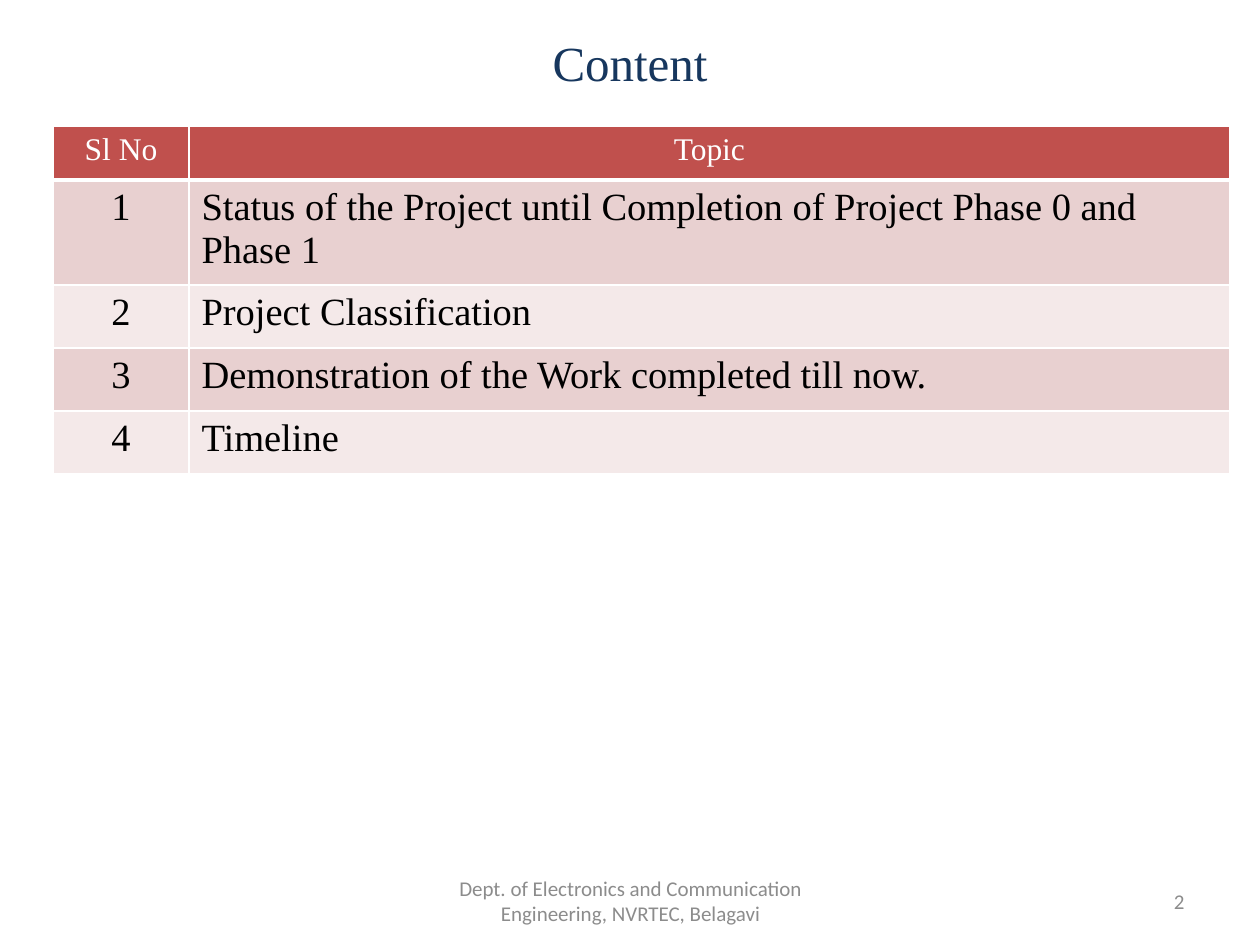
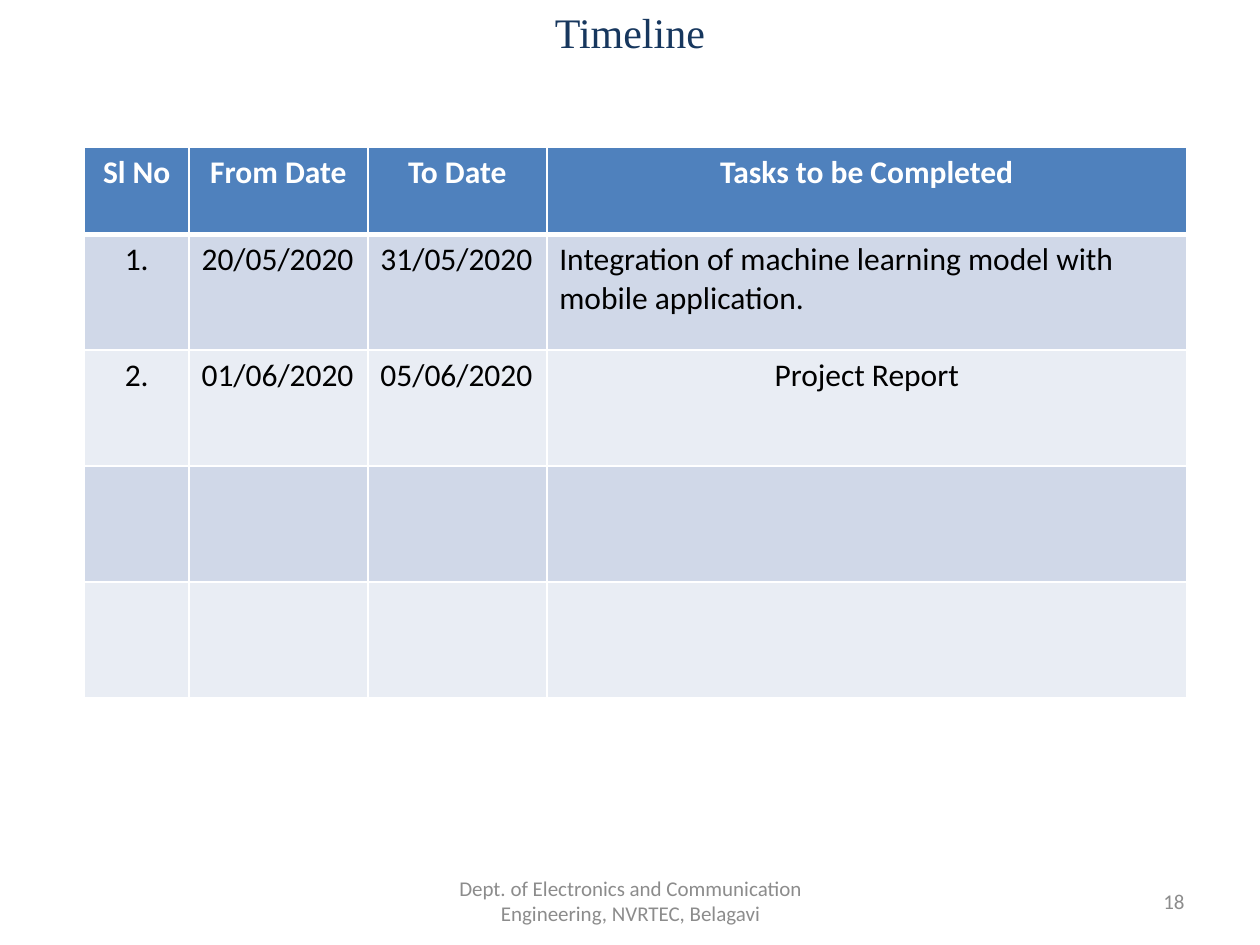
"""Builds the content and timeline slides of a project review."""
from lxml.etree import SubElement
from pptx import Presentation
from pptx.dml.color import RGBColor
from pptx.enum.text import MSO_ANCHOR, PP_ALIGN
from pptx.oxml.ns import qn
from pptx.util import Inches, Pt

NAVY = RGBColor(0x17, 0x37, 0x5E)
GRAY = RGBColor(0x8C, 0x8C, 0x8C)
BLACK = RGBColor(0, 0, 0)
WHITE = RGBColor(0xFF, 0xFF, 0xFF)
RED = RGBColor(0xC0, 0x50, 0x4D)
RED_BANDS = RGBColor(0xE8, 0xD0, 0xD0), RGBColor(0xF4, 0xE9, 0xE9)
BLUE = RGBColor(0x4F, 0x81, 0xBD)
BLUE_BANDS = RGBColor(0xD0, 0xD8, 0xE8), RGBColor(0xE9, 0xED, 0xF4)
SERIF, SANS = "Times New Roman", "Calibri"
LEFT, CENTER, RIGHT = PP_ALIGN.LEFT, PP_ALIGN.CENTER, PP_ALIGN.RIGHT
FOOTER = "Dept. of Electronics and Communication Engineering, NVRTEC, Belagavi"

SLIDES = [
    {
        "title": "Content", "title_at": (0.5, 0.15, 9, 0.68), "title_size": 28,
        "number": 2, "at": (0.42, 1), "font": SERIF, "size": 22,
        "header_bold": False, "header_fill": RED, "bands": RED_BANDS,
        "cols": [1.08, 8.26], "heights": [0.43, 0.78, 0.5, 0.5, 0.5],
        "aligns": [CENTER, LEFT], "centered": [],
        "rows": [
            ("Sl No", "Topic"),
            ("1", "Status of the Project until Completion of Project Phase 0 and Phase 1"),
            ("2", "Project Classification"),
            ("3", "Demonstration of the Work completed till now."),
            ("4", "Timeline"),
        ],
    },
    {
        "title": "Timeline", "title_at": (0, -0.02, 10, 0.54), "title_size": 24,
        "number": 18, "at": (0.67, 1.17), "font": SANS, "size": 18,
        "header_bold": True, "header_fill": BLUE, "bands": BLUE_BANDS,
        "cols": [0.83, 1.42, 1.42, 5.08], "heights": [0.69] + [0.92] * 4,
        "aligns": [CENTER, LEFT, LEFT, LEFT], "centered": ["Project Report"],
        "rows": [
            ("Sl No", "From Date", "To Date", "Tasks to be Completed"),
            ("1.", "20/05/2020", "31/05/2020",
             "Integration of machine learning model with mobile application."),
            ("2.", "01/06/2020", "05/06/2020", "Project Report"),
            ("",) * 4,
            ("",) * 4,
        ],
    },
]


def write(tf, text, font=SANS, size=12, color=GRAY, bold=False, align=CENTER):
    tf.word_wrap = True
    p = tf.paragraphs[0]
    p.alignment = align
    if text:
        r = p.add_run()
        r.text = text
        r.font.name, r.font.size, r.font.bold = font, Pt(size), bold
        r.font.color.rgb = color


def add_text(s, at, text, **fmt):
    tf = s.shapes.add_textbox(*map(Inches, at)).text_frame
    tf.vertical_anchor = MSO_ANCHOR.MIDDLE
    write(tf, text, **fmt)


def set_borders(cell, top, bottom):
    tcPr = cell._tc.get_or_add_tcPr()
    for side, width in (("L", 1), ("R", 1), ("T", top), ("B", bottom)):
        ln = SubElement(tcPr, qn(f"a:ln{side}"), w=str(Pt(width)))
        fill = SubElement(ln, qn("a:solidFill"))
        SubElement(fill, qn("a:srgbClr"), val=str(WHITE))


def add_grid(s, d):
    rows, cols, heights = d["rows"], d["cols"], d["heights"]
    size = Inches(sum(cols)), Inches(sum(heights))
    table = s.shapes.add_table(len(rows), len(cols), *map(Inches, d["at"]), *size).table
    for column, width in zip(table.columns, cols):
        column.width = Inches(width)
    for i, (row, height) in enumerate(zip(rows, heights)):
        table.rows[i].height = Inches(height)
        header = i == 0
        for j, text in enumerate(row):
            cell = table.cell(i, j)
            set_borders(cell, 3 if i == 1 else 1, 3 if header else 1)
            cell.fill.solid()
            cell.fill.fore_color.rgb = d["header_fill"] if header else d["bands"][(i - 1) % 2]
            write(cell.text_frame, text, font=d["font"],
                  size=18 if header else d["size"],
                  color=WHITE if header else BLACK,
                  bold=header and d["header_bold"],
                  align=CENTER if header or text in d["centered"] else d["aligns"][j])


def main():
    prs = Presentation()
    prs.slide_width, prs.slide_height = Inches(10), Inches(7.5)
    for d in SLIDES:
        s = prs.slides.add_slide(prs.slide_layouts[6])
        add_text(s, d["title_at"], d["title"], font=SERIF, size=d["title_size"], color=NAVY)
        add_grid(s, d)
        add_text(s, (3.42, 6.95, 3.17, 0.4), FOOTER)
        add_text(s, (7.17, 6.95, 2.33, 0.4), str(d["number"]), align=RIGHT)
    prs.save("out.pptx")


if __name__ == "__main__":
    main()
